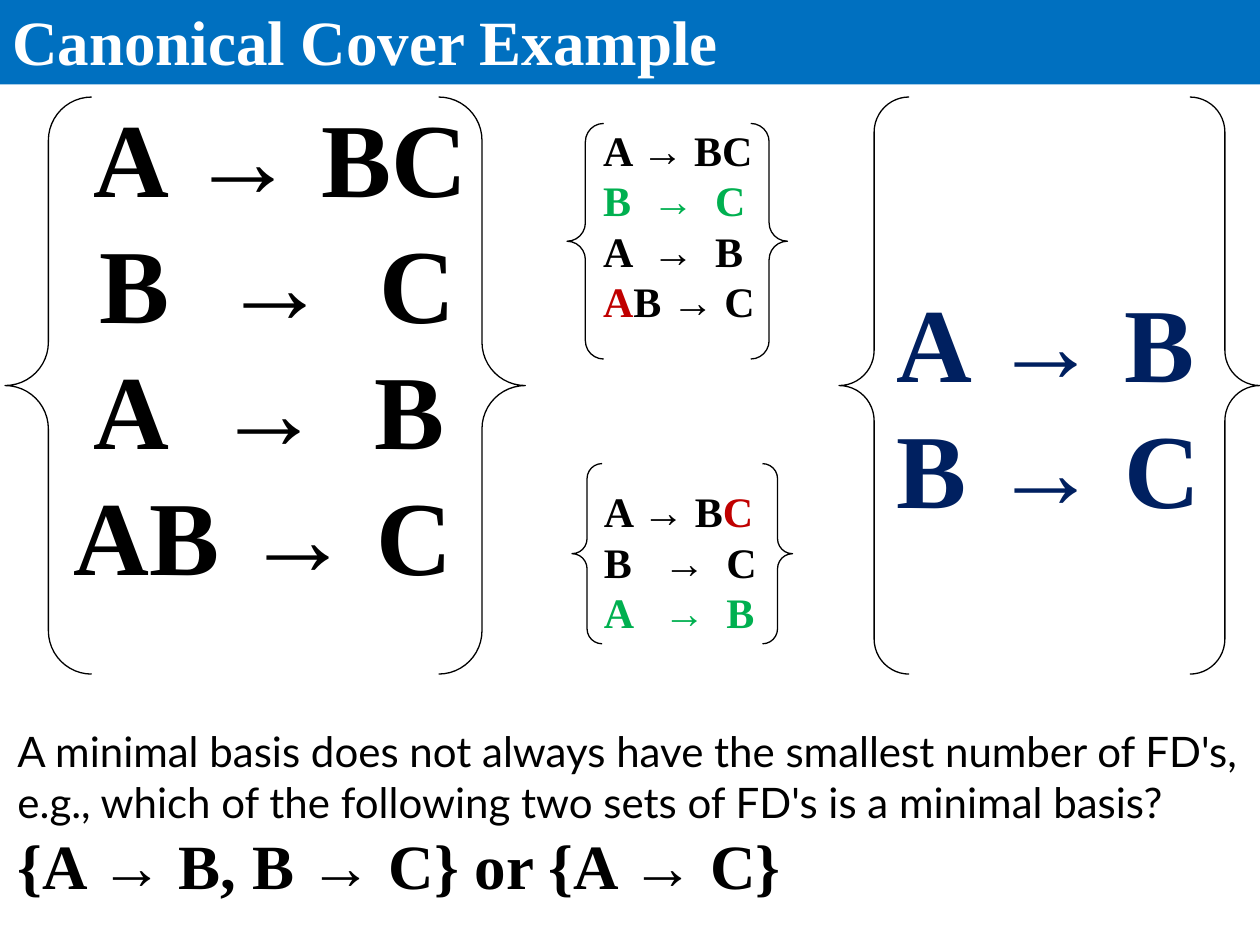
from pptx import Presentation
from pptx.util import Inches, Pt
from pptx.dml.color import RGBColor
from pptx.enum import shapes, text

BLACK = RGBColor(0x00, 0x00, 0x00)
WHITE = RGBColor(0xFF, 0xFF, 0xFF)
BLUE = RGBColor(0x00, 0x70, 0xC0)
NAVY = RGBColor(0x00, 0x20, 0x60)
GREEN = RGBColor(0x00, 0xB0, 0x50)
RED = RGBColor(0xC0, 0x00, 0x00)
SERIF = "Times New Roman"


def write(p, runs, size, font=SERIF, color=BLACK, bold=True):
    """Fill a paragraph from text or (text, colour) pairs; a newline is a line break."""
    p.alignment = text.PP_ALIGN.LEFT
    if isinstance(runs, str):
        runs = [(runs, color)]
    for content, run_color in runs:
        for i, line in enumerate(content.split("\n")):
            if i:
                p.add_line_break()
                # The break takes the size of the text around it
                p.font.size = Pt(size)
            if line:
                r = p.add_run()
                r.text = line
                r.font.name = font
                r.font.size = Pt(size)
                r.font.bold = bold
                r.font.color.rgb = run_color


def add_shape(kind, left, top, width, height):
    sp = s.shapes.add_shape(kind, Inches(left), Inches(top), Inches(width), Inches(height))
    sp.shadow.inherit = False
    return sp


prs = Presentation()
prs.slide_width, prs.slide_height = Inches(10), Inches(7.5)
s = prs.slides.add_slide(prs.slide_layouts[6])

# Title bar
bar = add_shape(shapes.MSO_SHAPE.RECTANGLE, 0, 0, 10, 0.67)
bar.fill.solid()
bar.fill.fore_color.rgb = BLUE
bar.line.fill.background()
bar.text_frame.vertical_anchor = text.MSO_ANCHOR.BOTTOM
write(bar.text_frame.paragraphs[0], "Canonical Cover Example", 36, color=WHITE)

# Question
tf = s.shapes.add_textbox(Inches(0.04), Inches(5.5), Inches(9.91), Inches(1.92)).text_frame
tf.word_wrap = True
tf.vertical_anchor = text.MSO_ANCHOR.MIDDLE
write(tf.paragraphs[0],
      "A minimal basis does not always have the smallest number of FD's, "
      "e.g., which of the following two sets of FD's is a minimal basis?",
      24, font="Lato", bold=False)
write(tf.add_paragraph(), "{A → B, B → C} or {A → C}", 36)

# Sets of dependencies: box, text size, extra space below the text, runs
fd_sets = [
    ((0.04, 0.77, 4.13, 4.58), 60, 1.0,
     [(" A → BC\n B  →  C\n A  →  B\nAB → C", BLACK)]),
    ((4.5, 0.98, 1.75, 1.87), 24, 0.4,
     [("A → BC\n", BLACK), ("B  →  C\n", GREEN), ("A  →  B\n", BLACK),
      ("A", RED), ("B → C", BLACK)]),
    ((4.54, 3.68, 1.75, 1.43), 24, 0,
     [("A → B", BLACK), ("C\n", RED), ("B   →  C\n", BLACK), ("A   →  B", GREEN)]),
    ((6.66, 0.77, 3.34, 4.58), 60, 0, [("A → B\nB → C", NAVY)]),
]
for box, size, space_below, runs in fd_sets:
    brace = add_shape(shapes.MSO_SHAPE.DOUBLE_BRACE, *box)
    brace.fill.background()
    brace.line.color.rgb = BLACK
    brace.line.width = Pt(0.75)
    tf = brace.text_frame
    tf.word_wrap = False
    tf.vertical_anchor = text.MSO_ANCHOR.MIDDLE
    tf.margin_bottom = Inches(0.05 + space_below)
    write(tf.paragraphs[0], runs, size)

prs.save("out.pptx")
